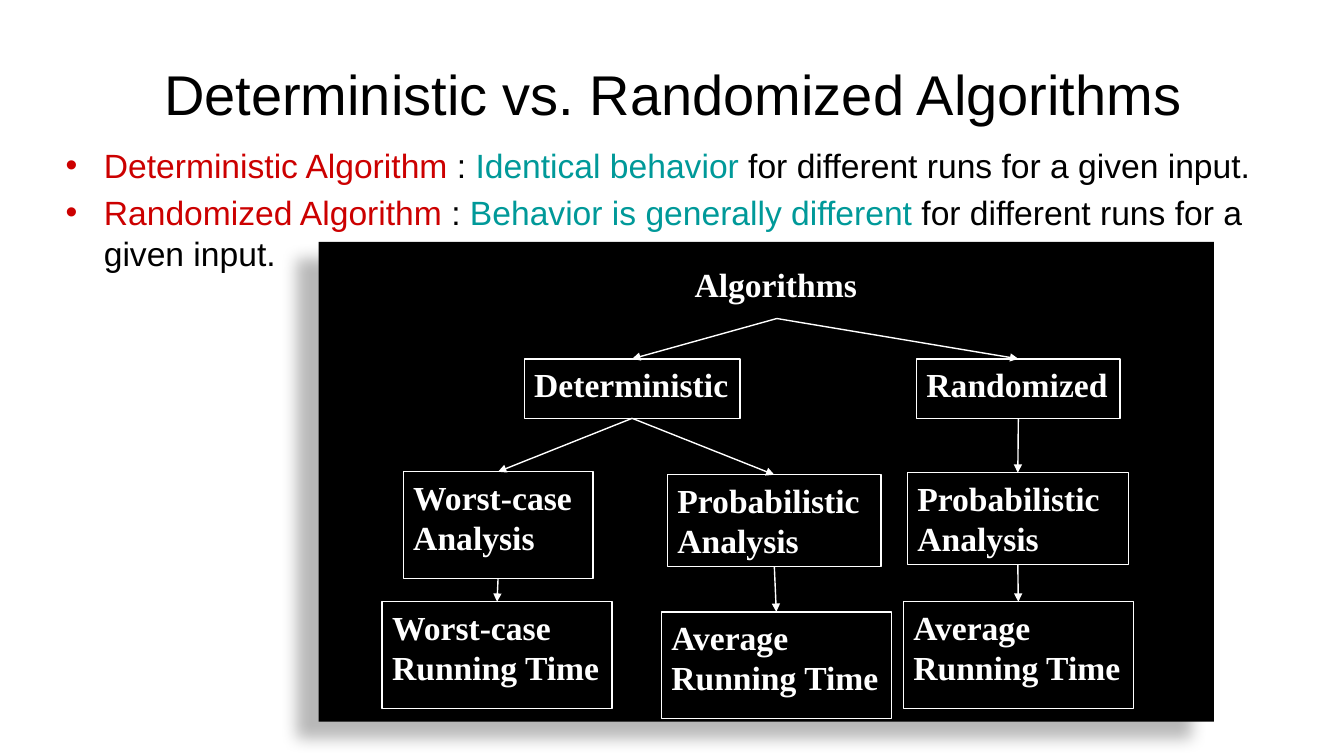
from lxml import etree
from pptx import Presentation
from pptx.dml.color import RGBColor
from pptx.enum.shapes import MSO_CONNECTOR, MSO_SHAPE
from pptx.enum.text import MSO_ANCHOR, MSO_AUTO_SIZE, PP_ALIGN
from pptx.oxml.ns import qn
from pptx.util import Inches, Pt

BLACK = RGBColor(0x00, 0x00, 0x00)
WHITE = RGBColor(0xFF, 0xFF, 0xFF)
RED = RGBColor(0xCC, 0x00, 0x00)
TEAL = RGBColor(0x00, 0x99, 0x99)
RECTANGLE = MSO_SHAPE.RECTANGLE
STRAIGHT = MSO_CONNECTOR.STRAIGHT
LEFT, CENTER = PP_ALIGN.LEFT, PP_ALIGN.CENTER
TOP, MIDDLE = MSO_ANCHOR.TOP, MSO_ANCHOR.MIDDLE
NO_AUTOFIT = MSO_AUTO_SIZE.NONE
TOP_SITE, BOTTOM_SITE = 0, 2

DEFINITIONS = [
    ("Deterministic Algorithm", "Identical behavior"),
    ("Randomized Algorithm", "Behavior is generally different"),
]
NODES = {
    "root": ("Algorithms", 6.79, 2.57, 1.83, 0.59),
    "deterministic": ("Deterministic", 5.2, 3.56, 2.14, 0.59),
    "randomized": ("Randomized", 9.09, 3.56, 2.02, 0.59),
    "worst analysis": ("Worst-case\nAnalysis", 4, 4.68, 1.88, 1.06),
    "worst time": ("Worst-case\nRunning Time", 3.79, 5.97, 2.28, 1.06),
    "input analysis": ("Probabilistic\nAnalysis", 6.62, 4.71, 2.12, 0.91),
    "input time": ("Average\nRunning Time", 6.56, 6.07, 2.28, 1.06),
    "random analysis": ("Probabilistic\nAnalysis", 9, 4.69, 2.19, 0.91),
    "random time": ("Average\nRunning Time", 8.96, 5.97, 2.28, 1.06),
}
BRANCHES = [
    ("root", "deterministic"),
    ("root", "randomized"),
    ("deterministic", "worst analysis"),
    ("deterministic", "input analysis"),
    ("randomized", "random analysis"),
    ("worst analysis", "worst time"),
    ("input analysis", "input time"),
    ("random analysis", "random time"),
]


def place(shape, left, top, width, height):
    """Move and size a placeholder, in inches."""
    shape.left, shape.top = Inches(left), Inches(top)
    shape.width, shape.height = Inches(width), Inches(height)


def style_font(font, name, size, color, bold=False):
    """Set the look of a run or paragraph font."""
    font.name, font.size, font.bold = name, Pt(size), bold
    font.color.rgb = color


def fill_title(title):
    """Write the slide title."""
    place(title, 0.67, 0.3, 12, 1.25)
    frame = title.text_frame
    frame.text = "Deterministic vs. Randomized Algorithms"
    frame.vertical_anchor, frame.auto_size = MIDDLE, NO_AUTOFIT
    para = frame.paragraphs[0]
    para.alignment = CENTER
    style_font(para.runs[0].font, "Arial", 40, BLACK)


def add_bullet(para):
    """Give a paragraph a hanging round bullet."""
    properties = para._p.get_or_add_pPr()
    properties.set("marL", str(Inches(0.38)))
    properties.set("indent", str(Inches(-0.38)))
    etree.SubElement(properties, qn("a:buChar")).set("char", "•")


def fill_definitions(body):
    """Write the two definitions as a bulleted list."""
    place(body, 0.55, 1.39, 12.23, 2)
    frame = body.text_frame
    frame.vertical_anchor, frame.auto_size = TOP, NO_AUTOFIT
    for index, (term, behavior) in enumerate(DEFINITIONS):
        para = frame.add_paragraph() if index else frame.paragraphs[0]
        add_bullet(para)
        para.alignment = LEFT
        para.space_before = Pt(4.8 if index else 0)
        spans = [(term, RED), (" : ", BLACK), (behavior, TEAL),
                 (" for different runs for a given input.", BLACK)]
        for text, color in spans:
            span = para.add_run()
            span.text = text
            style_font(span.font, "Arial", 24, color)


def add_panel(page):
    """Add the black panel with a soft shadow to its lower left."""
    panel = page.shapes.add_shape(
        RECTANGLE, Inches(3.16), Inches(2.4), Inches(8.88), Inches(4.76))
    panel.fill.solid()
    panel.fill.fore_color.rgb = BLACK
    panel.line.fill.background()
    effects = etree.SubElement(panel._element.spPr, qn("a:effectLst"))
    shadow = etree.SubElement(
        effects, qn("a:outerShdw"), blurRad=str(Pt(11.8)), dist=str(Pt(19.7)),
        dir=str(141 * 60000), algn="ctr", rotWithShape="0")
    color = etree.SubElement(shadow, qn("a:srgbClr"), val=str(BLACK))
    etree.SubElement(color, qn("a:alpha"), val="28000")


def add_node(page, text, left, top, width, height, outlined):
    """Add one labelled box of the tree."""
    box = page.shapes.add_shape(
        RECTANGLE, Inches(left), Inches(top), Inches(width), Inches(height))
    box.shadow.inherit = False
    box.fill.background()
    if outlined:
        box.line.color.rgb, box.line.width = WHITE, Pt(1)
    else:
        box.line.fill.background()
    frame = box.text_frame
    frame.word_wrap, frame.vertical_anchor = True, TOP
    frame.text = text
    for para in frame.paragraphs:
        para.alignment = LEFT
        style_font(para.runs[0].font, "Times New Roman", 24, WHITE, True)
    return box


def add_branch(page, parent, child):
    """Join the bottom of a box to the top of another with an arrow."""
    arrow = page.shapes.add_connector(STRAIGHT, 0, 0, 0, 0)
    arrow.begin_connect(parent, BOTTOM_SITE)
    arrow.end_connect(child, TOP_SITE)
    arrow.line.color.rgb, arrow.line.width = WHITE, Pt(1)
    etree.SubElement(arrow.line._get_or_add_ln(), qn("a:tailEnd"), type="triangle")
    etree.SubElement(arrow._element.spPr, qn("a:effectLst"))


def main():
    """Build the slide and save it."""
    deck = Presentation()
    deck.slide_width, deck.slide_height = Inches(13.33), Inches(7.5)
    page = deck.slides.add_slide(deck.slide_layouts[1])
    fill_title(page.shapes.title)
    fill_definitions(page.placeholders[1])
    add_panel(page)
    boxes = {name: add_node(page, *node, outlined=name != "root")
             for name, node in NODES.items()}
    for parent, child in BRANCHES:
        add_branch(page, boxes[parent], boxes[child])
    deck.save("out.pptx")


if __name__ == "__main__":
    main()
